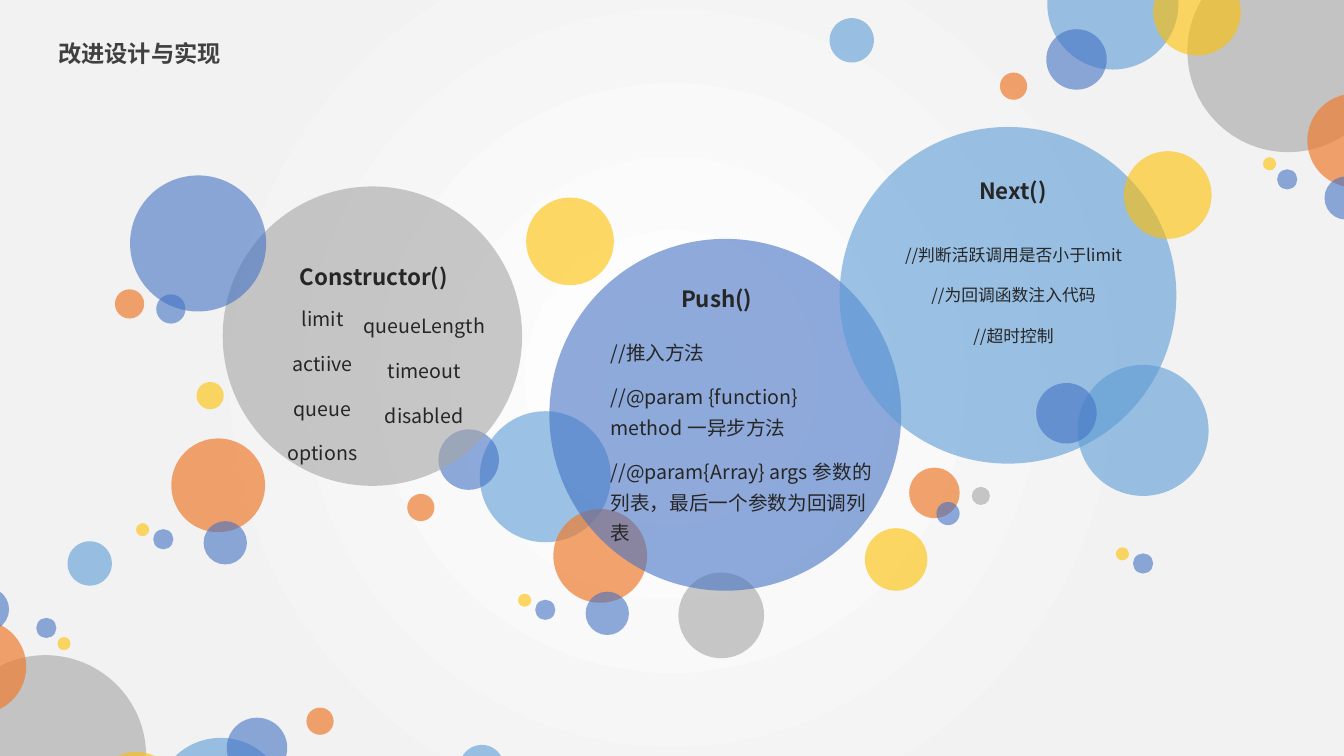
from lxml import etree
from pptx import Presentation
from pptx.dml.color import RGBColor
from pptx.enum.shapes import MSO_SHAPE
from pptx.enum.text import MSO_ANCHOR, PP_ALIGN
from pptx.oxml.ns import qn
from pptx.util import Inches, Pt

CELL = Inches(0.1)
COLUMNS, ROWS = 133.33, 75
FONT = "Noto Sans CJK SC"
WHITE = RGBColor(0xFF, 0xFF, 0xFF)
MIST = RGBColor(0xF2, 0xF2, 0xF2)
CHARCOAL = RGBColor(0x40, 0x40, 0x40)
INK = RGBColor(0x26, 0x26, 0x26)
SKY = RGBColor(0x5B, 0x9B, 0xD5)
BLUE = RGBColor(0x44, 0x72, 0xC4)
GRAY = RGBColor(0xA5, 0xA5, 0xA5)
YELLOW = RGBColor(0xFF, 0xC0, 0x00)
ORANGE = RGBColor(0xED, 0x7D, 0x31)

CORNER_SIZE = (56.7, 27.9)
CORNER_BUBBLES = [
    (SKY, 28.1, 6.5, 13), (GRAY, 45.5, 11.2, 20), (YELLOW, 36.45, 7.25, 8.7),
    (BLUE, 24.5, 12, 6), (ORANGE, 52.05, 20.05, 9.3), (ORANGE, 18.25, 14.65, 2.7),
    (BLUE, 51.25, 25.75, 4.3), (BLUE, 45.4, 23.9, 2), (YELLOW, 43.65, 22.35, 1.3),
    (SKY, 2.2, 10.1, 4.4),
]
SWARM_BUBBLES = [
    (SKY, 13.7, 27.7, 13), (YELLOW, 16.15, 4.35, 8.7), (BLUE, 6.1, 26, 6),
    (ORANGE, 19.15, 35.55, 9.3), (ORANGE, 1.35, 30.75, 2.7), (BLUE, 19.85, 41.25, 4.3),
    (BLUE, 13.7, 40.9, 2), (YELLOW, 11.65, 39.95, 1.3),
]
LOWER_BUBBLES = [
    (GRAY, 71.55, 61.05, 8.5), (SKY, 8.9, 55.9, 4.4), (ORANGE, 92.7, 48.9, 5),
    (YELLOW, 88.9, 55.5, 6.2), (BLUE, 94.05, 50.95, 2.3), (GRAY, 97.3, 49.2, 1.8),
]
LEFT_BUBBLES = [
    (YELLOW, 20.85, 39.25, 2.7), (BLUE, 19.65, 24.15, 13.5),
    (BLUE, 16.95, 30.65, 2.9), (ORANGE, 12.85, 30.15, 2.9),
]


def cells(*counts):
    """Convert grid counts to slide lengths."""
    return [round(count * CELL) for count in counts]


def paint_background(slide):
    """Fill the slide with a radial fade from white to mist."""
    fill = slide.background.fill
    fill.gradient()
    for stop, colour, position in zip(fill.gradient_stops, (WHITE, MIST), (0, 0.67)):
        stop.color.rgb = colour
        stop.position = position
    gradient = slide.background._cSld.find(".//" + qn("a:gradFill"))
    linear = gradient.find(qn("a:lin"))
    radial = etree.Element(qn("a:path"), path="circle")
    etree.SubElement(radial, qn("a:fillToRect"), l="50000", t="50000", r="50000", b="50000")
    gradient.replace(linear, radial)


def add_bubble(slide, colour, column, row, diameter):
    """Draw a translucent circle around a centre point."""
    corner = column - diameter / 2, row - diameter / 2
    bubble = slide.shapes.add_shape(MSO_SHAPE.OVAL, *cells(*corner, diameter, diameter))
    bubble.shadow.inherit = False
    bubble.line.fill.background()
    bubble.fill.solid()
    bubble.fill.fore_color.rgb = colour
    tint = bubble.fill._xPr.find(".//" + qn("a:srgbClr"))
    etree.SubElement(tint, qn("a:alpha"), val="70000" if colour == ORANGE else "60000")


def add_bubbles(slide, left, top, bubbles):
    """Place bubbles relative to the corner of their box."""
    for colour, column, row, diameter in bubbles:
        add_bubble(slide, colour, left + column, top + row, diameter)


def add_corner(slide, left, top, turned=False):
    """Place the corner cluster in its box, optionally turned half round."""
    width, height = CORNER_SIZE
    add_bubbles(slide, left, top, [
        (colour, width - column, height - row, diameter) if turned
        else (colour, column, row, diameter)
        for colour, column, row, diameter in CORNER_BUBBLES])


def add_words(slide, box, lines, size, colour=INK, bold=False,
              align=PP_ALIGN.CENTER, spacing=1.3, anchor=MSO_ANCHOR.TOP):
    """Write one paragraph per line in a box."""
    frame = slide.shapes.add_textbox(*cells(*box)).text_frame
    frame.word_wrap = True
    frame.vertical_anchor = anchor
    frame.text = "\n".join(lines)
    for paragraph in frame.paragraphs:
        paragraph.alignment = align
        paragraph.line_spacing = spacing
        paragraph.space_before = Pt(10)
        font = paragraph.font
        font.name, font.size, font.bold = FONT, Pt(size), bold
        font.color.rgb = colour


def add_topic(slide, left, top, diameter, colour, heading, heading_box, notes,
              size=14, align=PP_ALIGN.CENTER):
    """Draw a method's disc with its heading and blocks of notes."""
    add_bubble(slide, colour, left + diameter / 2, top + diameter / 2, diameter)
    for (column, row, width, height), lines in notes:
        add_words(slide, (left + column, top + row, width, height), lines, size, align=align)
    column, row, width = heading_box
    add_words(slide, (left + column, top + row, width, 4.1), [heading], 16, bold=True)


def build_slide(slide):
    """Compose the title, three method discs and surrounding bubbles."""
    paint_background(slide)
    add_corner(slide, 82.3, -6.1)
    add_corner(slide, -6.7, 58.3, turned=True)
    add_words(slide, (4.8, 2.8, 37.2, 4.4), ["改进设计与实现"], 16.6, CHARCOAL, True,
              PP_ALIGN.LEFT, 1.2, MSO_ANCHOR.MIDDLE)
    add_bubbles(slide, 40.4, 19.6, SWARM_BUBBLES)
    add_bubbles(slide, 0, 0, LOWER_BUBBLES)
    add_topic(slide, 22.1, 18.5, 29.7, GRAY, "Constructor()", (1.4, 6.3, 27.2), [
        ((-2.4, 10.8, 24.6, 19.2), ["limit", "actiive", "queue", "options"]),
        ((7.7, 11.5, 24.6, 19.2), ["queueLength", "timeout", "disabled"])])
    add_topic(slide, 54.5, 23.7, 34.9, BLUE, "Push()", (2.7, 3.3, 27.8), [
        ((5.1, 8.9, 27.9, 14), [
            "//推入方法",
            "//@param {function} method 一异步方法",
            "//@param{Array} args 参数的列表，最后一个参数为回调列表"])],
        align=PP_ALIGN.LEFT)
    add_bubbles(slide, 0, 0, LEFT_BUBBLES[:1])
    add_bubbles(slide, 2.5, 12.6, SWARM_BUBBLES[3:4] + SWARM_BUBBLES[5:])
    add_bubbles(slide, 0, 0, LEFT_BUBBLES[1:])
    add_topic(slide, 83.3, 12.6, 33.4, SKY, "Next()", (3.3, 3.7, 27.8), [
        ((3.3, 10.6, 27.9, 14), [
            "//判断活跃调用是否小于limit", "//为回调函数注入代码", "//超时控制"])],
        size=12)
    add_bubbles(slide, 99.7, 15, SWARM_BUBBLES[:3] + SWARM_BUBBLES[6:])


presentation = Presentation()
presentation.slide_width, presentation.slide_height = cells(COLUMNS, ROWS)
build_slide(presentation.slides.add_slide(presentation.slide_layouts[6]))
presentation.save("out.pptx")
